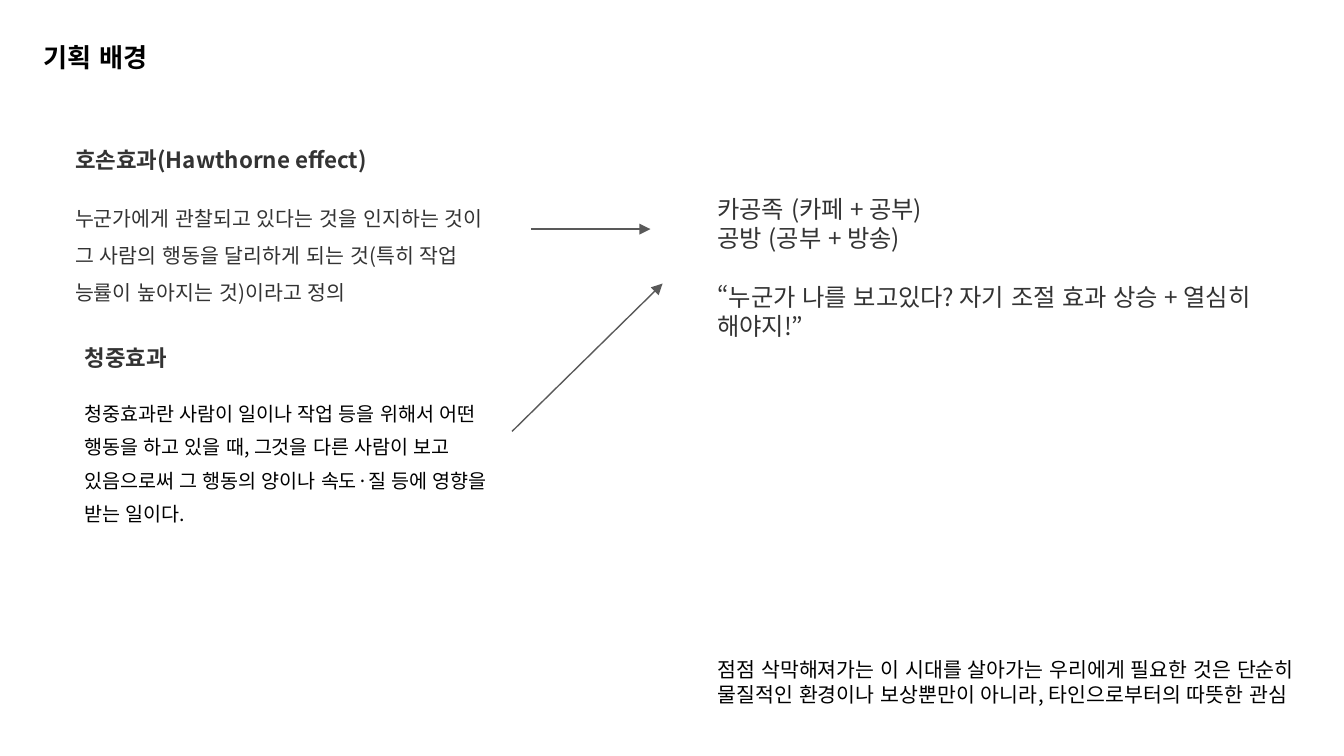
from lxml import etree
from pptx import Presentation
from pptx import util as u
from pptx.dml.color import RGBColor
from pptx.enum import lang, shapes, text
from pptx.oxml.ns import qn

PX = 4572
BLACK = RGBColor(0, 0, 0)
CHARCOAL = RGBColor(0x33, 0x33, 0x33)
GRAY = RGBColor(0x59, 0x59, 0x59)
SANS = "Noto Sans CJK KR"

deck = Presentation()
deck.slide_width, deck.slide_height = 2000 * PX, 1125 * PX
slide = deck.slides.add_slide(deck.slide_layouts[6])


def add_text(bounds, paragraphs, face=SANS):
    box = slide.shapes.add_textbox(*(length * PX for length in bounds))
    frame = box.text_frame
    frame.word_wrap = True
    frame.auto_size = text.MSO_AUTO_SIZE.SHAPE_TO_FIT_TEXT
    frame.margin_left = frame.margin_right = 20 * PX
    frame.margin_top = frame.margin_bottom = 20 * PX
    for index, (words, size, color, bold, gap, spacing) in enumerate(paragraphs):
        paragraph = frame.add_paragraph() if index else frame.paragraphs[0]
        paragraph.line_spacing = spacing
        if gap:
            paragraph.space_before = u.Pt(gap)
        run = paragraph.add_run()
        run.text = words
        run.font.size = u.Pt(size)
        run.font.bold = bold
        run.font.color.rgb = color
        run.font.name = face
        run.font.language_id = lang.MSO_LANGUAGE_ID.KOREAN
        etree.SubElement(run.font._element, qn("a:ea"), typeface=face)


add_text((45, 42, 486, 88), [("기획 배경", 14, BLACK, True, 0, 1.0)], "Arial")

add_text((92, 198, 656, 260), [
    ("호손효과(Hawthorne effect)", 12, CHARCOAL, True, 0, 1.0),
    ("누군가에게 관찰되고 있다는 것을 인지하는 것이 그 사람의 행동을 달리하게 되는 것"
     "(특히 작업 능률이 높아지는 것)이라고 정의", 11, CHARCOAL, False, 11, 1.5),
])

add_text((1048, 269, 914, 216), [
    ("카공족 (카페 + 공부)", 13, CHARCOAL, False, 0, 1.0),
    ("공방 (공부 + 방송)", 13, CHARCOAL, False, 0, 1.0),
    ("“누군가 나를 보고있다? 자기 조절 효과 상승 + 열심히 해야지!”",
     13, CHARCOAL, False, 16, 1.0),
])

add_text((1048, 958, 902, 114), [
    ("점점 삭막해져가는 이 시대를 살아가는 우리에게 필요한 것은 단순히 물질적인 "
     "환경이나 보상뿐만이 아니라, 타인으로부터의 따뜻한 관심", 11, BLACK, False, 0, 1.0),
])

add_text((106, 492, 656, 300), [
    ("청중효과", 12, CHARCOAL, True, 0, 1.0),
    ("청중효과란 사람이 일이나 작업 등을 위해서 어떤 행동을 하고 있을 때, 그것을 다른 "
     "사람이 보고 있음으로써 그 행동의 양이나 속도·질 등에 영향을 받는 일이다.",
     10.5, BLACK, False, 11, 1.43),
])

for ends in ((790, 341, 968, 341), (762, 642, 986, 422)):
    effect_arrow = slide.shapes.add_connector(
        shapes.MSO_CONNECTOR.STRAIGHT, *(length * PX for length in ends))
    effect_arrow.line.color.rgb = GRAY
    effect_arrow.line.width = u.Pt(0.75)
    etree.SubElement(effect_arrow.line._get_or_add_ln(), qn("a:tailEnd"), type="triangle")
    etree.SubElement(effect_arrow._element.spPr, qn("a:effectLst"))

deck.save("out.pptx")
